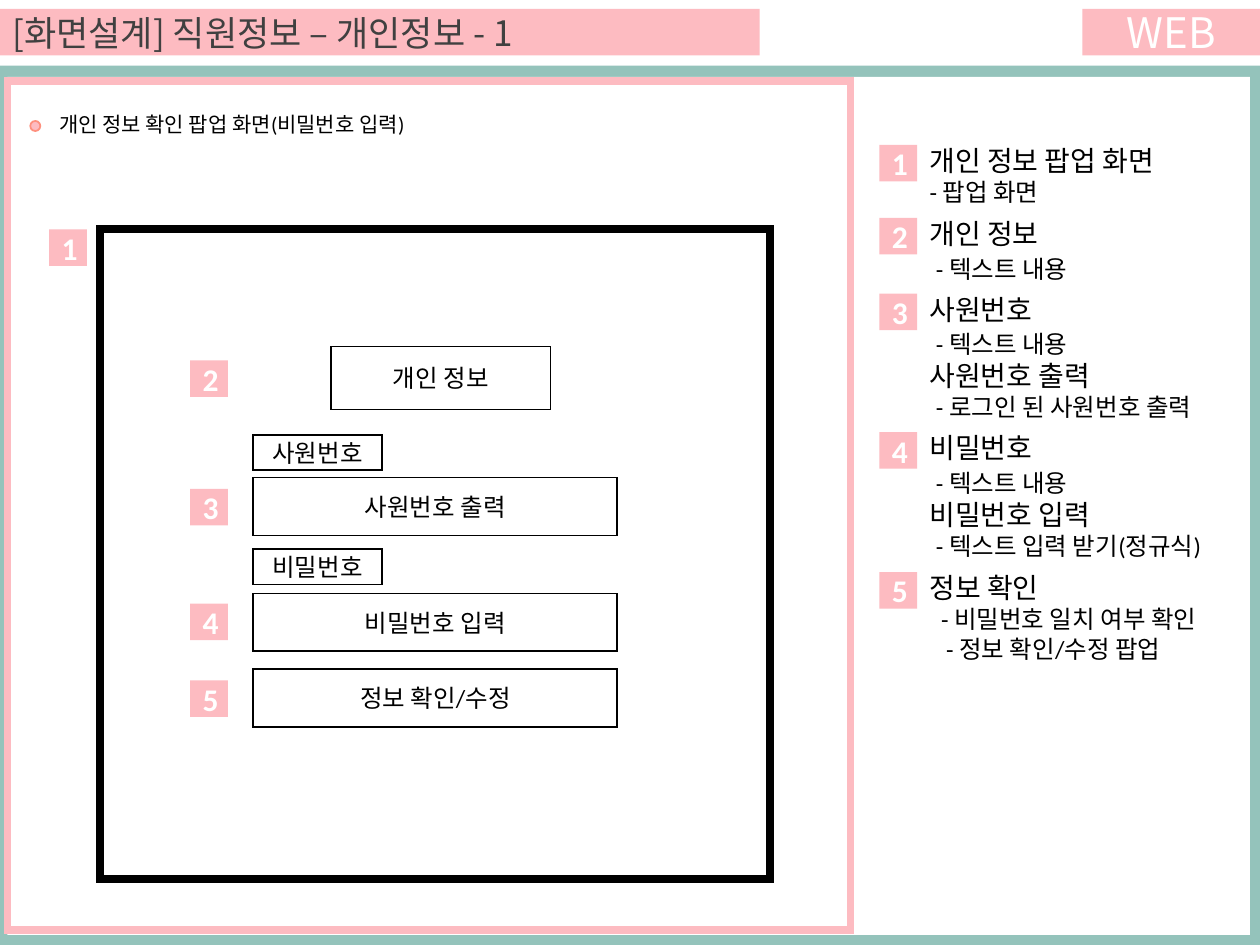
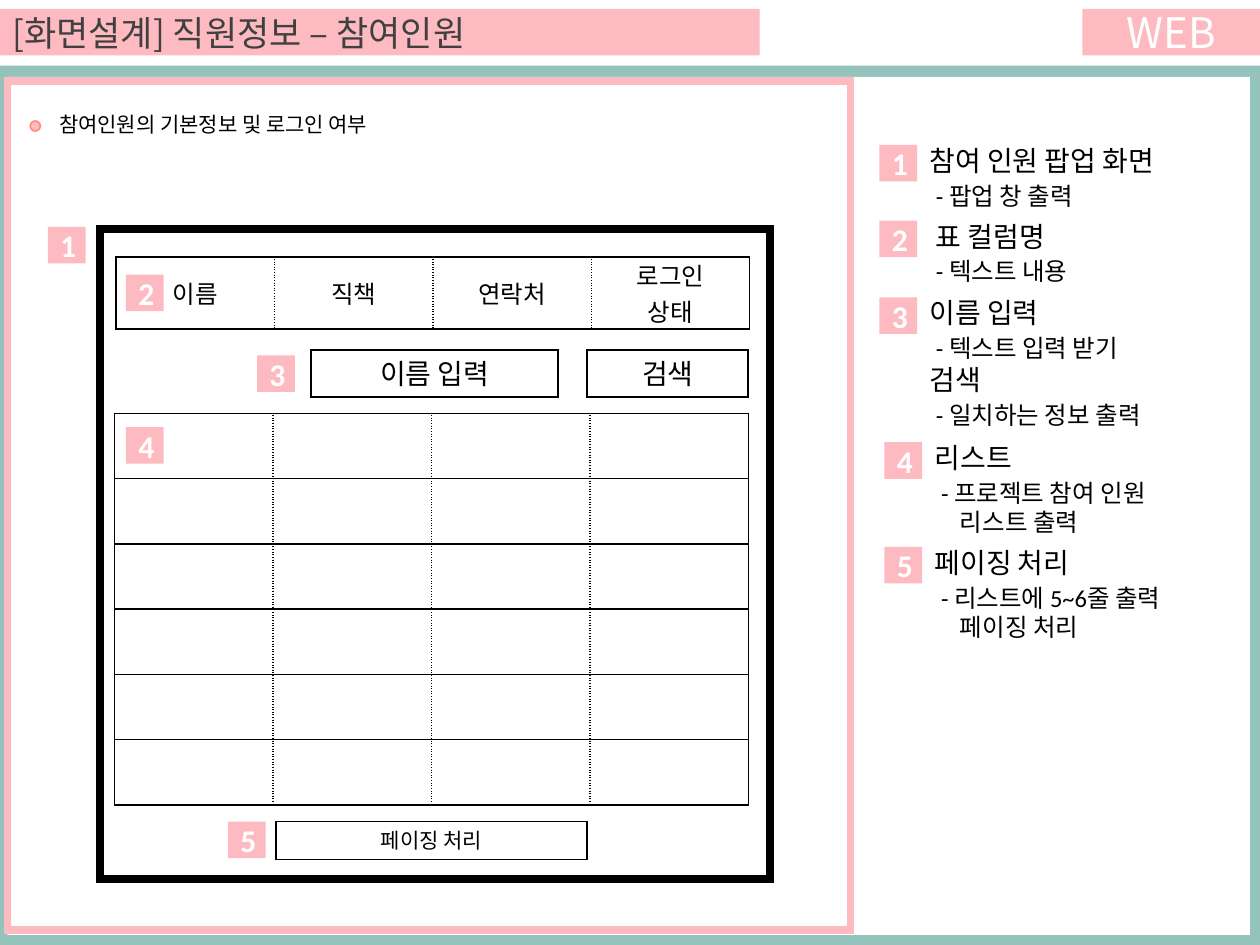
from lxml.etree import SubElement
from pptx import Presentation
from pptx.dml.color import RGBColor
from pptx.enum.shapes import MSO_SHAPE
from pptx.enum.text import MSO_ANCHOR, PP_ALIGN
from pptx.oxml.ns import qn
from pptx.util import Inches, Pt

RECT, OVAL = MSO_SHAPE.RECTANGLE, MSO_SHAPE.OVAL
LEFT, CENTER = PP_ALIGN.LEFT, PP_ALIGN.CENTER
MIDDLE = MSO_ANCHOR.MIDDLE
PINK, TEAL, CORAL = "FDBBC1", "94C3BB", "FE907E"
WHITE, BLACK, GRAY = "FFFFFF", "000000", "404040"
BODY, HEAD = "Calibri", "Noto Sans CJK KR"


def paint(target, color):
    target.solid()
    target.fore_color.rgb = RGBColor.from_string(color)


def write(para, text, size, color=BLACK, face=BODY, bold=False, align=LEFT):
    para.text = text
    para.alignment = align
    font = para.font
    font.size, font.name, font.bold = Pt(size), face, bold
    font.color.rgb = RGBColor.from_string(color)


def add_box(slide, x, y, w, h, fill=None, line=None, width=1, kind=RECT):
    box = slide.shapes.add_shape(kind, Inches(x), Inches(y), Inches(w), Inches(h))
    box.shadow.inherit = False
    if fill:
        paint(box.fill, fill)
    else:
        box.fill.background()
    if line:
        paint(box.line.fill, line)
        box.line.width = Pt(width)
        SubElement(box.element.spPr.find(qn("a:ln")), qn("a:miter"), lim="800000")
    else:
        box.line.fill.background()
    return box


def label(box, text, size, color=BLACK, face=BODY, bold=False, align=CENTER):
    frame = box.text_frame
    frame.word_wrap = True
    frame.vertical_anchor = MIDDLE
    write(frame.paragraphs[0], text, size, color, face, bold, align)


def add_field(slide, x, y, w, h, text, size=14, width=1):
    label(add_box(slide, x, y, w, h, WHITE, BLACK, width), text, size)


def add_badge(slide, x, y, num):
    label(add_box(slide, x, y, 0.3, 0.29, PINK), str(num), 18, WHITE, bold=True)


def add_text(slide, x, y, w, h):
    frame = slide.shapes.add_textbox(Inches(x), Inches(y), Inches(w), Inches(h)).text_frame
    frame.word_wrap = True
    return frame


def add_note(slide, num, x, y, lines):
    add_badge(slide, x, y, num)
    frame = add_text(slide, x + 0.3, y - 0.06, 2.65, 0.14 + 0.25 * len(lines))
    for i, (text, size, indent, gap) in enumerate(lines):
        para = frame.paragraphs[0] if i == 0 else frame.add_paragraph()
        para._p.get_or_add_pPr().set("marL", str(Inches(indent)))
        write(para, text, size)
        para.space_before = Pt(gap)


def head(text, indent=0):
    return text, 16, indent, 0


def sub(text, indent=0.05, gap=0):
    return text, 14, indent, gap


def add_edge(props, side, dash):
    line = SubElement(props, qn("a:ln" + side), w=str(Pt(1)))
    color = SubElement(SubElement(line, qn("a:solidFill")), qn("a:srgbClr"))
    color.set("val", BLACK)
    SubElement(line, qn("a:prstDash"), val=dash)


def add_grid(slide, x, y, w, h, rows, cols, names=()):
    table = slide.shapes.add_table(
        rows, cols, Inches(x), Inches(y), Inches(w), Inches(h)).table
    table.first_row = table.horz_banding = False
    for i, cell in enumerate(table.iter_cells()):
        col = i % cols
        props = cell._tc.get_or_add_tcPr()
        add_edge(props, "L", "sysDot" if col else "solid")
        add_edge(props, "R", "sysDot" if col < cols - 1 else "solid")
        add_edge(props, "T", "solid")
        add_edge(props, "B", "solid")
        paint(cell.fill, WHITE)
    for cell, name in zip(table.iter_cells(), names):
        cell.margin_top = cell.margin_bottom = 0
        cell.vertical_anchor = MIDDLE
        frame = cell.text_frame
        for i, part in enumerate(name.split("\n")):
            para = frame.paragraphs[0] if i == 0 else frame.add_paragraph()
            write(para, part, 14, align=CENTER)


def add_page(deck, title, topic):
    slide = deck.slides.add_slide(deck.slide_layouts[6])
    add_box(slide, 0, 0.52, 10, 6.98, TEAL)
    add_box(slide, 0.06, 0.61, 9.86, 6.81, WHITE)
    add_box(slide, 0.06, 0.64, 6.69, 6.74, None, PINK, 4.5)
    add_box(slide, 0.24, 0.96, 0.08, 0.08, PINK, CORAL, 1, OVAL)
    write(add_text(slide, 0.37, 0.84, 3.82, 0.3).paragraphs[0], topic, 12)
    label(add_box(slide, 8.59, 0.07, 1.41, 0.37, PINK), "WEB", 24, WHITE, HEAD)
    label(add_box(slide, 0, 0.07, 6.03, 0.37, PINK), title, 20, GRAY, HEAD, align=LEFT)
    add_box(slide, 0.79, 1.82, 5.32, 5.16, WHITE, BLACK, 4.5)
    return slide


def add_login(deck):
    slide = add_page(deck, "[화면설계] 직원정보 – 개인정보 - 1",
                     "개인 정보 확인 팝업 화면(비밀번호 입력)")
    add_badge(slide, 0.39, 1.82, 1)
    for num, y in enumerate((2.86, 3.88, 4.79, 5.4), 2):
        add_badge(slide, 1.51, y, num)
    add_field(slide, 2.63, 2.75, 1.74, 0.5, "개인 정보")
    for y, text in ((3.45, "사원번호"), (4.36, "비밀번호")):
        add_field(slide, 2.01, y, 1.02, 0.28, text)
    for y, text in ((3.79, "사원번호 출력"), (4.71, "비밀번호 입력"), (5.31, "정보 확인/수정")):
        add_field(slide, 2.01, y, 2.89, 0.46, text)
    notes = [
        (1.15, [head("개인 정보 팝업 화면"), sub("- 팝업 화면", 0)]),
        (1.73, [head("개인 정보"), sub("- 텍스트 내용", gap=2)]),
        (2.33, [head("사원번호"), sub("- 텍스트 내용", gap=2),
                head("사원번호 출력"), sub("- 로그인 된 사원번호 출력")]),
        (3.43, [head("비밀번호"), sub("- 텍스트 내용", gap=2),
                head("비밀번호 입력"), sub("- 텍스트 입력 받기(정규식)")]),
        (4.54, [head("정보 확인"), sub("- 비밀번호 일치 여부 확인", 0.09),
                sub("- 정보 확인/수정 팝업", 0.13)]),
    ]
    for num, (y, lines) in enumerate(notes, 1):
        add_note(slide, num, 6.98, y, lines)


def add_people(deck):
    slide = add_page(deck, "[화면설계] 직원정보 – 참여인원",
                     "참여인원의 기본정보 및 로그인 여부")
    add_grid(slide, 0.92, 2.04, 5.03, 0.57, 1, 4,
             ("이름", "직책", "연락처", "로그인\n상태"))
    add_grid(slide, 0.91, 3.28, 5.03, 3.11, 6, 4)
    add_field(slide, 2.47, 2.78, 1.96, 0.37, "이름 입력", 16)
    add_field(slide, 4.66, 2.78, 1.28, 0.37, "검색", 16)
    add_field(slide, 2.19, 6.52, 2.47, 0.3, "페이징 처리", 12, 0.75)
    spots = ((0.38, 1.8), (1, 2.18), (2.04, 2.82), (1, 3.39), (1.81, 6.52))
    for num, (x, y) in enumerate(spots, 1):
        add_badge(slide, x, y, num)
    notes = [
        (6.98, 1.15, [head("참여 인원 팝업 화면"), sub("- 팝업 창 출력", gap=2)]),
        (6.98, 1.75, [head("표 컬럼명", 0.05), sub("- 텍스트 내용", gap=2)]),
        (6.98, 2.36, [head("이름 입력"), sub("- 텍스트 입력 받기", gap=2),
                      head("검색"), sub("- 일치하는 정보 출력", gap=2)]),
        (7.02, 3.51, [head("리스트"), sub("- 프로젝트 참여 인원", gap=2),
                      sub("리스트 출력", 0.2)]),
        (7.02, 4.34, [head("페이징 처리"), sub("- 리스트에 5~6줄 출력", gap=2),
                      sub("페이징 처리", 0.2)]),
    ]
    for num, (x, y, lines) in enumerate(notes, 1):
        add_note(slide, num, x, y, lines)


def main():
    deck = Presentation()
    deck.slide_width, deck.slide_height = Inches(10), Inches(7.5)
    add_login(deck)
    add_people(deck)
    deck.save("out.pptx")


if __name__ == "__main__":
    main()
